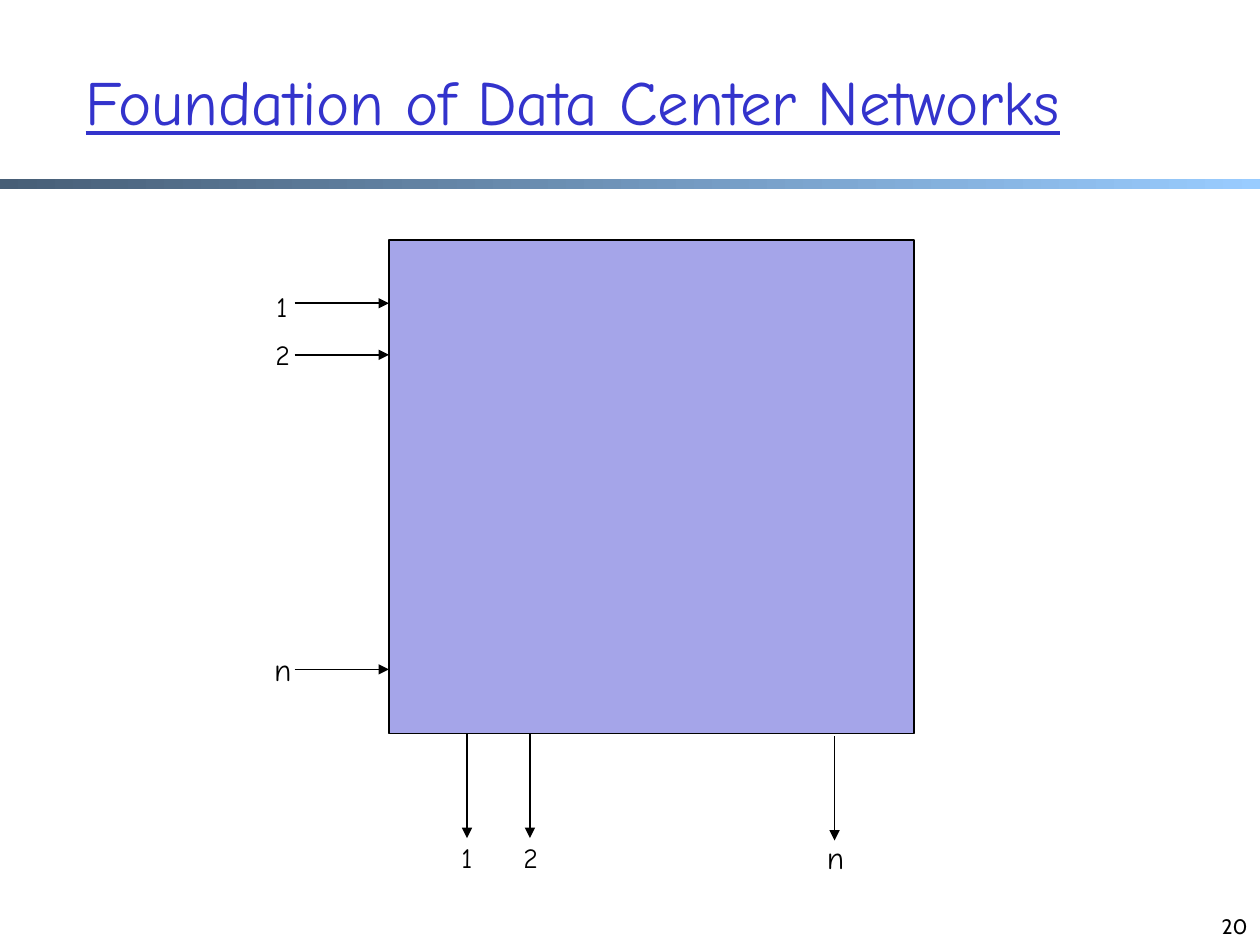
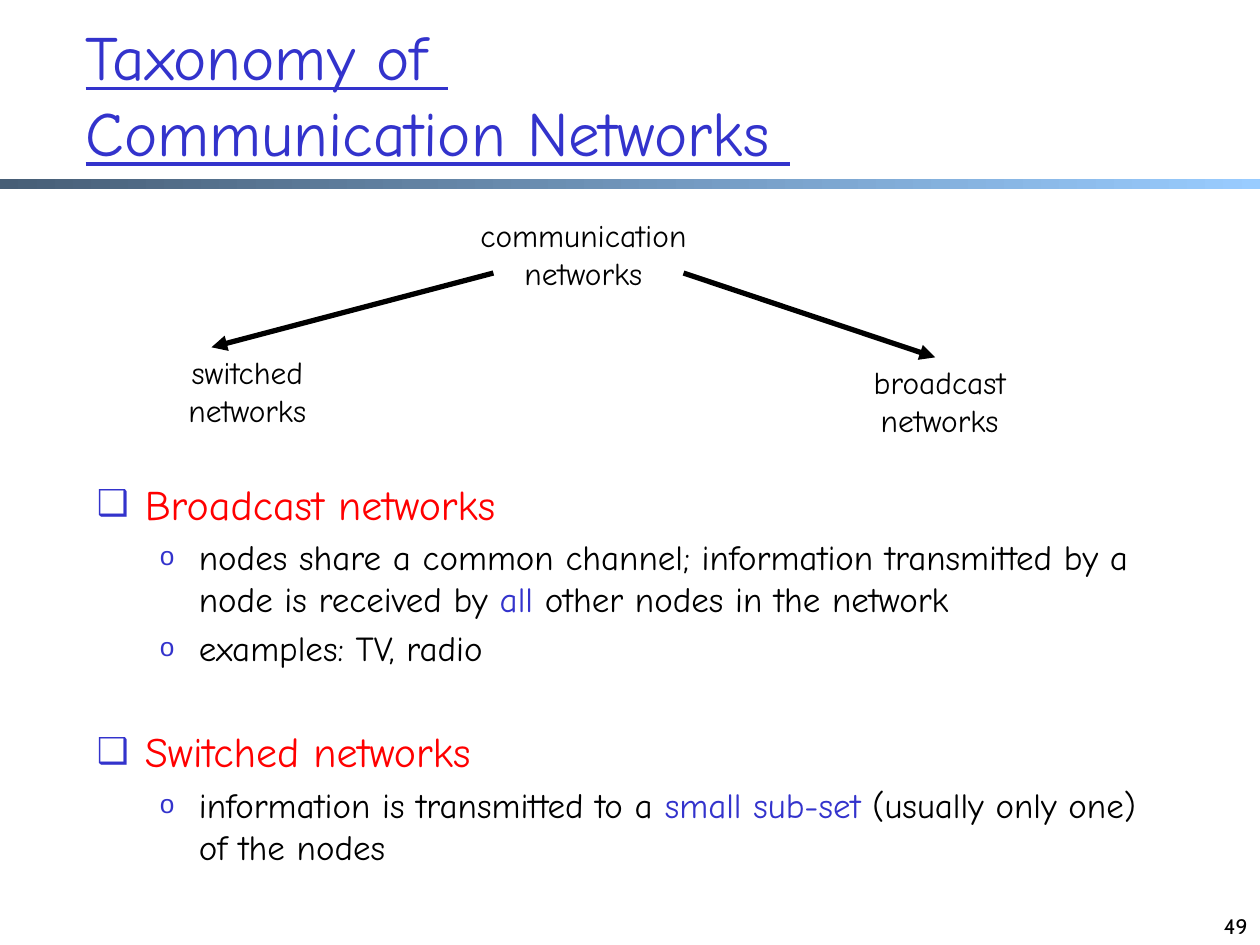
from lxml import etree
from pptx import Presentation
from pptx.dml.color import RGBColor
from pptx.enum.shapes import MSO_CONNECTOR, MSO_SHAPE
from pptx.enum.text import MSO_ANCHOR, MSO_AUTO_SIZE, PP_ALIGN
from pptx.oxml.ns import qn
from pptx.util import Emu, Pt

STRAIGHT = MSO_CONNECTOR.STRAIGHT
RECTANGLE = MSO_SHAPE.RECTANGLE
TOP, MIDDLE, BOTTOM = MSO_ANCHOR.TOP, MSO_ANCHOR.MIDDLE, MSO_ANCHOR.BOTTOM
LEFT, CENTER, RIGHT = PP_ALIGN.LEFT, PP_ALIGN.CENTER, PP_ALIGN.RIGHT
NO_AUTOFIT = MSO_AUTO_SIZE.NONE

PX = 9144  # 100 px to the inch
SLIDE_W, SLIDE_H = 1001, 751
TITLE_ONLY, TITLE_AND_BODY = 5, 1
TEXT_FONT, NUMBER_FONT = "Comic Neue", "Cabin"
COLORS = {
    "text": "000000",
    "accent": "3333CC",
    "heading": "FF0000",
    "switch": "A5A5E9",
    "band_start": "475E76",
    "band_end": "99CCFF",
}
# level: (left margin, hanging indent, bullet, bullet size in %, text size)
LIST_LEVELS = {0: (38, 38, "❑", 85, 24), 1: (81, 31, "o", 75, 20)}


def px(*lengths):
    return [Emu(length * PX) for length in lengths]


def rgb(color):
    return RGBColor.from_string(COLORS[color])


def style(run, size, color="text", font=TEXT_FONT, underline=None):
    run.font.size = Pt(size)
    run.font.name = font
    run.font.color.rgb = rgb(color)
    run.font.underline = underline


def place(placeholder, box, anchor):
    placeholder.left, placeholder.top, placeholder.width, placeholder.height = px(*box)
    frame = placeholder.text_frame
    frame.auto_size = NO_AUTOFIT
    frame.vertical_anchor = anchor
    return frame


def add_label(slide, box, text, size, align=CENTER, anchor=TOP, font=TEXT_FONT, wrap=True):
    frame = slide.shapes.add_textbox(*px(*box)).text_frame
    frame.word_wrap = wrap
    frame.vertical_anchor = anchor
    frame.text = text
    paragraph = frame.paragraphs[0]
    paragraph.alignment = align
    for run in paragraph.runs:
        style(run, size, font=font)


def add_arrow(slide, start, end, width=1):
    arrow = slide.shapes.add_connector(STRAIGHT, *px(*start, *end))
    arrow.line.color.rgb = rgb("text")
    arrow.line.width = Pt(width)
    etree.SubElement(arrow.line._get_or_add_ln(), qn("a:tailEnd"), type="triangle")
    etree.SubElement(arrow.element.spPr, qn("a:effectLst"))


def add_framed_slide(prs, layout, title, title_box, number, title_anchor=MIDDLE):
    """Add a slide with the shared band, title and page number."""
    slide = prs.slides.add_slide(prs.slide_layouts[layout])
    band = slide.shapes.add_shape(RECTANGLE, *px(0, 142, SLIDE_W, 8))
    band.shadow.inherit = False
    band.line.fill.background()
    band.fill.gradient()
    band.fill.gradient_angle = 0
    for stop, color in zip(band.fill.gradient_stops, ("band_start", "band_end")):
        stop.color.rgb = rgb(color)

    heading = place(slide.shapes.title, title_box, title_anchor)
    heading.text = title
    paragraph = heading.paragraphs[0]
    paragraph.alignment = LEFT
    for run in paragraph.runs:
        style(run, 36, "accent", underline=True)

    add_label(slide, (768, 701, 233, 50), number, 12, RIGHT, BOTTOM, NUMBER_FONT)
    return slide


def add_switch(slide, box):
    """Draw the n by n switch with its input and output ports."""
    left, top, width, height = box
    switch = slide.shapes.add_shape(RECTANGLE, *px(*box))
    switch.shadow.inherit = False
    switch.fill.solid()
    switch.fill.fore_color.rgb = rgb("switch")
    switch.line.color.rgb = rgb("text")
    switch.line.width = Pt(1)

    def add_port_label(center_x, center_y, text, size):
        w, h = (32, 40) if size == 18 else (30, 36)
        add_label(slide, (center_x - w // 2, center_y - h // 2, w, h), text, size, wrap=False)

    # port, text size, arrow offset, label offset
    for port, size, offset, label_offset in (("1", 16, 50, 52), ("2", 16, 91, 90), ("n", 18, 341, 341)):
        add_arrow(slide, (left - 75, top + offset), (left, top + offset))
        add_port_label(left - 85, top + label_offset, port, size)

    # port, text size, arrow offset, gap below the switch
    bottom = top + height
    for port, size, offset, gap in (("1", 16, 62, 0), ("2", 16, 112, 0), ("n", 18, 354, 2)):
        x = left + offset
        add_arrow(slide, (x, bottom + gap), (x, bottom + gap + 83))
        add_port_label(x, bottom + 98, port, size)


def add_taxonomy(slide, box):
    """Draw the tree of network kinds."""
    left, top = box[:2]
    for x, y, kind in (
        (267, 0, "communication networks"),
        (550, 117, "broadcast\vnetworks"),
        (0, 109, "switched\vnetworks"),
    ):
        add_label(slide, (left + x, top + y, 225, 70), kind, 18)
    for start_x, end_x, end_y in ((308, 84, 109), (459, 659, 117)):
        add_arrow(slide, (left + start_x, top + 50), (left + end_x, top + end_y), 3)


def add_bullet(paragraph, level):
    margin, hanging, character, percent, _ = LIST_LEVELS[level]
    properties = paragraph._p.get_or_add_pPr()
    properties.set("marL", str(margin * PX))
    properties.set("indent", str(-hanging * PX))
    bullet_color = etree.SubElement(properties, qn("a:buClr"))
    etree.SubElement(bullet_color, qn("a:srgbClr"), val=COLORS["accent"])
    etree.SubElement(properties, qn("a:buSzPct"), val=str(percent * 1000))
    etree.SubElement(properties, qn("a:buChar"), char=character)


def add_list(slide, box, items):
    """Fill the body with (level, space before, [(text, color), ...]) items."""
    frame = place(slide.placeholders[1], box, TOP)
    for index, (level, space_before, parts) in enumerate(items):
        paragraph = frame.add_paragraph() if index else frame.paragraphs[0]
        paragraph.level = level
        add_bullet(paragraph, level)
        paragraph.space_before = Pt(space_before)
        for text, color in parts:
            run = paragraph.add_run()
            run.text = text
            style(run, LIST_LEVELS[level][-1], color)


def build_foundation(prs):
    slide = add_framed_slide(
        prs, TITLE_ONLY, "Foundation of Data Center Networks", (58, 17, 926, 125), "20")
    add_switch(slide, (309, 191, 417, 392))


def build_taxonomy(prs):
    slide = add_framed_slide(
        prs, TITLE_AND_BODY, "Taxonomy of \vCommunication Networks ", (58, 9, 851, 125), "49", TOP)
    add_list(slide, (67, 375, 851, 334), [
        (0, 0, [("Broadcast networks", "heading")]),
        (1, 4, [
            ("nodes share a common channel; information transmitted by a node is received by ", "text"),
            ("all", "accent"),
            (" other nodes in the network", "text"),
        ]),
        (1, 4, [("examples: TV, radio", "text")]),
        (0, 33, [("Switched networks", "heading")]),
        (1, 4, [
            ("information is transmitted to a ", "text"),
            ("small sub-set", "accent"),
            (" (usually only one) of the nodes", "text"),
        ]),
    ])
    add_taxonomy(slide, (84, 167, 775, 187))


def main():
    prs = Presentation()
    prs.slide_width, prs.slide_height = px(SLIDE_W, SLIDE_H)
    build_foundation(prs)
    build_taxonomy(prs)
    prs.save("out.pptx")


if __name__ == "__main__":
    main()
